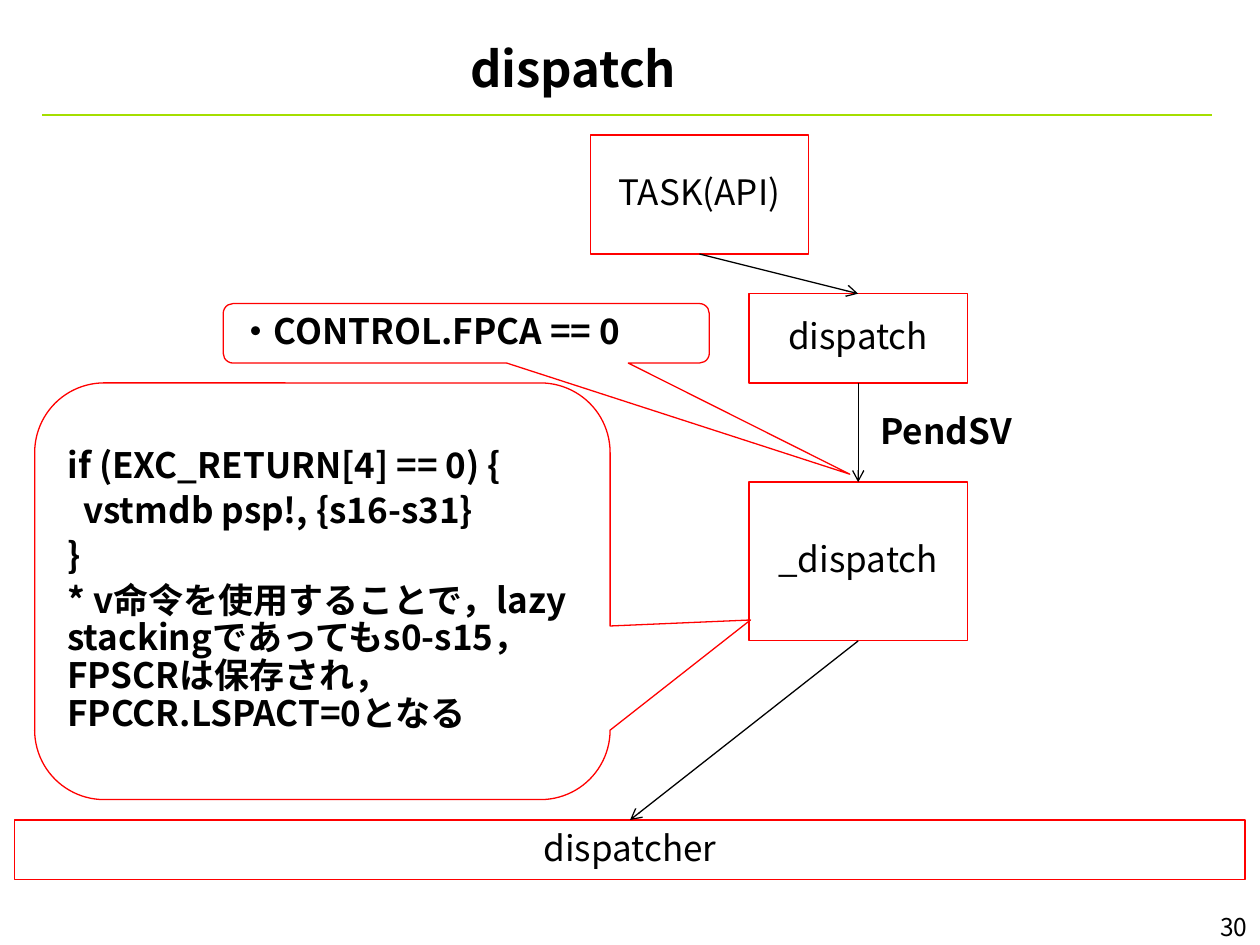
from lxml import etree
from pptx import Presentation
from pptx.dml.color import RGBColor
from pptx.enum.shapes import MSO_CONNECTOR, MSO_SHAPE
from pptx.enum.text import MSO_ANCHOR, PP_ALIGN
from pptx.oxml.ns import qn
from pptx.util import Cm, Pt

BLACK = RGBColor(0, 0, 0)
WHITE = RGBColor(255, 255, 255)
RED = RGBColor(255, 0, 0)
GREEN = RGBColor(0xA4, 0xDE, 0)
LEFT, CENTER, RIGHT = PP_ALIGN.LEFT, PP_ALIGN.CENTER, PP_ALIGN.RIGHT
TOP, MIDDLE = MSO_ANCHOR.TOP, MSO_ANCHOR.MIDDLE
RECTANGLE = MSO_SHAPE.RECTANGLE
CALLOUT = MSO_SHAPE.ROUNDED_RECTANGULAR_CALLOUT
STRAIGHT = MSO_CONNECTOR.STRAIGHT


class SlideBuilder:
    font_name = "Noto Sans CJK JP"
    outline = Pt(0.75)

    def __init__(self, slide):
        self.slide = slide

    def fill_text(self, shape, lines, size=20, bold=False, align=LEFT,
                  anchor=MIDDLE, top=0.13):
        frame = shape.text_frame
        frame.word_wrap = True
        frame.vertical_anchor = anchor
        frame.margin_left = frame.margin_right = Cm(0.25)
        frame.margin_top, frame.margin_bottom = Cm(top), Cm(0.13)
        for index, line in enumerate(lines):
            paragraph = frame.paragraphs[0] if index == 0 else frame.add_paragraph()
            paragraph.alignment = align
            run = paragraph.add_run()
            run.text = line
            run.font.size = Pt(size)
            run.font.bold = bold
            run.font.color.rgb = BLACK
            run.font.name = self.font_name
            properties = run._r.get_or_add_rPr()
            east_asian = etree.Element(qn("a:ea"), typeface=self.font_name)
            properties.find(qn("a:latin")).addnext(east_asian)
        return frame

    def text(self, left, top, width, height, line, inset=0.13, **style):
        box = self.slide.shapes.add_textbox(Cm(left), Cm(top), Cm(width), Cm(height))
        self.fill_text(box, [line], top=inset, **style)

    def box(self, left, top, width, height, lines, kind=RECTANGLE, **style):
        shape = self.slide.shapes.add_shape(
            kind, Cm(left), Cm(top), Cm(width), Cm(height))
        shape.shadow.inherit = False
        shape.fill.background()
        shape.line.color.rgb = RED
        shape.line.width = self.outline
        frame = self.fill_text(shape, lines, **style)
        for paragraph in frame.paragraphs:
            paragraph.line_spacing = 0.9
            paragraph.space_before = Pt(4)
        return shape

    def callout(self, left, top, width, height, lines, pointer):
        shape = self.box(left, top, width, height, lines, CALLOUT, bold=True)
        shape.fill.solid()
        shape.fill.fore_color.rgb = WHITE
        shape.adjustments[0], shape.adjustments[1] = pointer
        shape.adjustments[2] = 0.167
        return shape

    def line(self, start, end, color=BLACK, width=outline, arrow=False):
        connector = self.slide.shapes.add_connector(
            STRAIGHT, *(Cm(value) for value in start + end))
        connector.line.color.rgb = color
        connector.line.width = width
        properties = connector._element.spPr
        if arrow:
            etree.SubElement(properties.find(qn("a:ln")), qn("a:tailEnd"), type="arrow")
        etree.SubElement(properties, qn("a:effectLst"))


presentation = Presentation()
presentation.slide_width, presentation.slide_height = Cm(25.4), Cm(19.05)
builder = SlideBuilder(presentation.slides.add_slide(presentation.slide_layouts[6]))

builder.line((0.85, 2.32), (24.43, 2.32), GREEN, Pt(1.5))
builder.text(23.3, 18.26, 2.1, 0.84, "30", size=14, align=RIGHT, anchor=TOP)
builder.text(0.58, 0.53, 21.95, 1.4, "dispatch", inset=0.41, size=28,
             bold=True, align=CENTER)

BOX_WIDTH = 4.4
TASK_LEFT, STEP_LEFT = 11.9, 15.1
TASK_CENTER, STEP_CENTER = TASK_LEFT + BOX_WIDTH / 2, STEP_LEFT + BOX_WIDTH / 2
TASK_TOP, TASK_BOTTOM = 2.72, 5.12
DISPATCH_TOP, DISPATCH_BOTTOM = 5.92, 7.72
HANDLER_TOP, HANDLER_BOTTOM = 9.72, 12.92
DISPATCHER_TOP = 16.53

for left, top, width, bottom, label in (
    (0.3, DISPATCHER_TOP, 24.8, 17.73, "dispatcher"),
    (STEP_LEFT, DISPATCH_TOP, BOX_WIDTH, DISPATCH_BOTTOM, "dispatch"),
    (TASK_LEFT, TASK_TOP, BOX_WIDTH, TASK_BOTTOM, "TASK(API)"),
    (STEP_LEFT, HANDLER_TOP, BOX_WIDTH, HANDLER_BOTTOM, "_dispatch"),
):
    builder.box(left, top, width, bottom - top, [label], align=CENTER)

for start, end in (
    ((TASK_CENTER, TASK_BOTTOM), (STEP_CENTER, DISPATCH_TOP)),
    ((STEP_CENTER, HANDLER_BOTTOM), (12.7, DISPATCHER_TOP)),
    ((STEP_CENTER, DISPATCH_BOTTOM), (STEP_CENTER, HANDLER_TOP)),
):
    builder.line(start, end, arrow=True)

builder.text(17.5, 8.13, 3.4, 1.12, "PendSV", bold=True, anchor=TOP)

code = builder.callout(0.7, 7.72, 11.6, 8.4, [
    "if (EXC_RETURN[4] == 0) {",
    "vstmdb psp!, {s16-s31}",
    "}",
    "* v命令を使用することで，lazy stackingであってもs0-s15，"
    "FPSCRは保存され，FPCCR.LSPACT=0となる",
], (0.744, 0.069))
code.text_frame.paragraphs[1]._p.get_or_add_pPr().set("marL", str(Cm(0.32)))
builder.callout(4.5, 6.12, 9.8, 1.2, ["・CONTROL.FPCA == 0"], (0.789, 2.367))

presentation.save("out.pptx")
